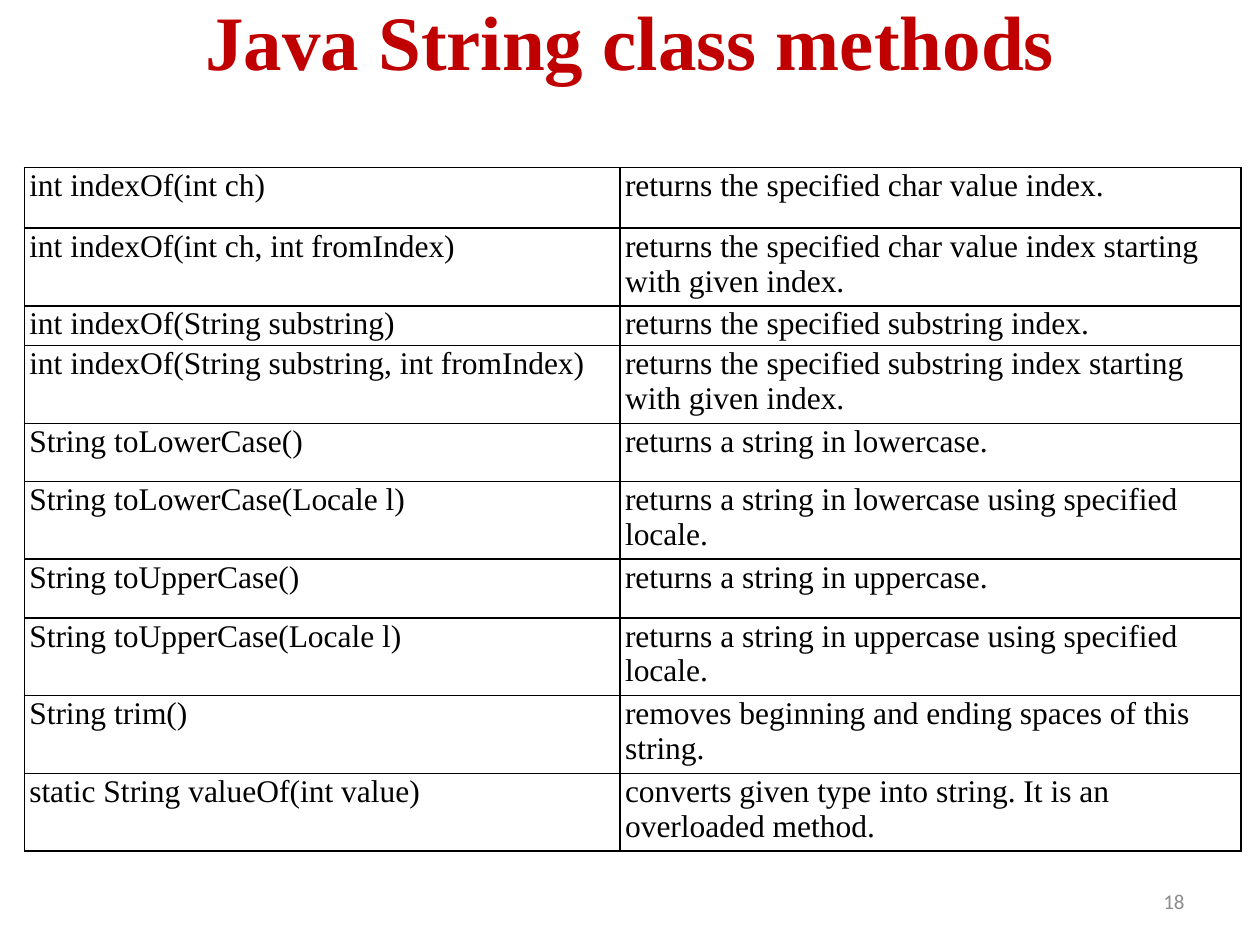
from lxml import etree
from pptx import Presentation
from pptx import util as u
from pptx.dml.color import RGBColor
from pptx.enum import text
from pptx.oxml import ns

SERIF = "Times New Roman"
BLACK = "000000"
COLUMN_WIDTHS = [12.01, 12.52]
METHODS = [
    # row height in cm, method, description
    (1.22, "int indexOf(int ch)", "returns the specified char value index."),
    (0.66, "int indexOf(int ch, int fromIndex)",
     "returns the specified char value index starting with given index."),
    (0.38, "int indexOf(String substring)",
     "returns the specified substring index."),
    (0.66, "int indexOf(String substring, int fromIndex)",
     "returns the specified substring index starting with given index."),
    (1.17, "String toLowerCase()", "returns a string in lowercase."),
    (0.53, "String toLowerCase(Locale l)",
     "returns a string in lowercase using specified locale."),
    (1.19, "String toUpperCase()", "returns a string in uppercase."),
    (0.53, "String toUpperCase(Locale l)",
     "returns a string in uppercase using specified locale."),
    (0.53, "String trim()",
     "removes beginning and ending spaces of this string."),
    (0.53, "static String valueOf(int value)",
     "converts given type into string. It is an overloaded method."),
]


def color(value):
    return RGBColor.from_string(value)


def write(frame, words, size, font, ink, align, bold=False):
    para = frame.paragraphs[0]
    para.alignment = align
    span = para.add_run()
    span.text = words
    span.font.size = u.Pt(size)
    span.font.name = font
    span.font.bold = bold
    span.font.color.rgb = color(ink)


def add_title(page, words):
    title = page.shapes.title
    title.left, title.top = u.Cm(0), u.Cm(-0.79)
    title.width, title.height = u.Cm(25.4), u.Cm(3.18)
    title.text_frame.vertical_anchor = text.MSO_ANCHOR.MIDDLE
    write(title.text_frame, words, 44, SERIF, "C00000",
          text.PP_ALIGN.CENTER, bold=True)


def add_page_number(page, number):
    box = page.shapes.add_textbox(u.Cm(18.21), u.Cm(17.65),
                                  u.Cm(5.92), u.Cm(1.02))
    box.text_frame.word_wrap = True
    box.text_frame.vertical_anchor = text.MSO_ANCHOR.MIDDLE
    write(box.text_frame, number, 12, "Calibri", "8C8C8C",
          text.PP_ALIGN.RIGHT)


def set_borders(cell, ink, points):
    properties = cell._tc.get_or_add_tcPr()
    for index, side in enumerate(("lnL", "lnR", "lnT", "lnB")):
        line = etree.Element(ns.qn("a:" + side), w=str(u.Pt(points)))
        fill = etree.SubElement(line, ns.qn("a:solidFill"))
        etree.SubElement(fill, ns.qn("a:srgbClr"), val=ink)
        properties.insert(index, line)


def fill_cell(cell, words):
    cell.margin_left = u.Cm(0.1)
    cell.margin_right = cell.margin_top = cell.margin_bottom = u.Cm(0.02)
    cell.fill.background()
    set_borders(cell, BLACK, 1)
    write(cell.text_frame, words, 18, SERIF, BLACK, text.PP_ALIGN.LEFT)


def add_method_table(page):
    # Rows grow to fit their text, so the frame keeps the summed row heights
    total = sum(height for height, *_ in METHODS)
    frame = page.shapes.add_table(len(METHODS), len(COLUMN_WIDTHS),
                                  u.Cm(0.49), u.Cm(3.38),
                                  u.Cm(sum(COLUMN_WIDTHS)), u.Cm(total))
    table = frame.table
    table.first_row = table.horz_banding = False
    for column, width in zip(table.columns, COLUMN_WIDTHS):
        column.width = u.Cm(width)
    for row, (height, *entries) in zip(table.rows, METHODS):
        row.height = u.Cm(height)
        for cell, words in zip(row.cells, entries):
            fill_cell(cell, words)


def main():
    deck = Presentation()
    deck.slide_width, deck.slide_height = u.Cm(25.4), u.Cm(19.05)
    page = deck.slides.add_slide(deck.slide_layouts[5])
    add_title(page, "Java String class methods")
    add_page_number(page, "18")
    add_method_table(page)
    deck.save("out.pptx")


main()
